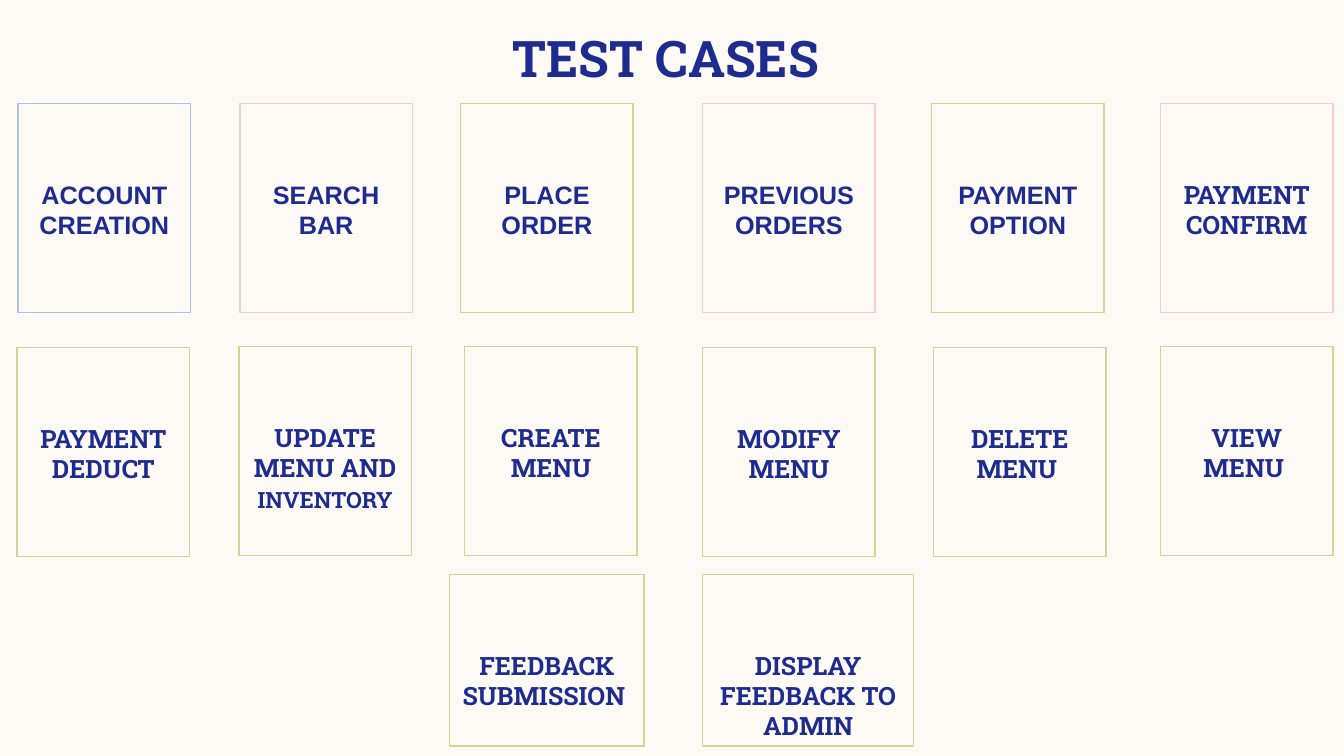
import pptx
import pptx.util
import pptx.dml.color
import pptx.enum.shapes
import pptx.enum.text

PX = 9144
SLIDE_WIDTH, SLIDE_HEIGHT = 1333, 750
COLORS = {
    "cream": "FDFAF6",
    "navy": "1F2C8F",
    "blue": "AAC3E8",
    "pink": "F5CDCE",
    "olive": "D2D592",
}
SLAB, SANS = "Roboto Slab", "Arial"

ACCOUNT_CASES = [
    (18, 0, "blue", SANS, "ACCOUNT CREATION", ""),
    (238, 0, "pink", SANS, "SEARCH BAR", ""),
    (457, 0, "olive", SANS, "PLACE ORDER", ""),
    (697, 0, "pink", SANS, "PREVIOUS ORDERS", ""),
    (924, 0, "olive", SANS, "PAYMENT OPTION", ""),
    (1151, 0, "pink", SLAB, "PAYMENT CONFIRM", ""),
]
MENU_CASES = [
    (17, 1, "olive", SLAB, "PAYMENT DEDUCT", ""),
    (237, 0, "olive", SLAB, "UPDATE MENU AND ", "INVENTORY"),
    (461, 0, "olive", SLAB, "CREATE MENU", ""),
    (697, 1, "olive", SLAB, "MODIFY MENU", ""),
    (926, 1, "olive", SLAB, "DELETE MENU ", ""),
    (1151, 0, "olive", SLAB, "VIEW MENU ", ""),
]


def px(length):
    return pptx.util.Emu(length * PX)


def rgb(name):
    return pptx.dml.color.RGBColor.from_string(COLORS[name])


def write(paragraph, text, size=18, font=SLAB, color="navy", spacing=21.6):
    paragraph.alignment = pptx.enum.text.PP_ALIGN.CENTER
    paragraph.line_spacing = pptx.util.Pt(spacing)
    run = paragraph.add_run()
    run.text = text
    run.font.size = pptx.util.Pt(size)
    run.font.name = font
    run.font.bold = True
    run.font.color.rgb = rgb(color)


def set_frame(frame, top_inset):
    frame.word_wrap = True
    frame.vertical_anchor = pptx.enum.text.MSO_ANCHOR.TOP
    frame.margin_left = frame.margin_right = px(10)
    frame.margin_top, frame.margin_bottom = px(top_inset), px(5)


def add_heading(slide, box):
    heading = slide.shapes.add_textbox(*map(px, box))
    set_frame(heading.text_frame, 5)
    write(heading.text_frame.paragraphs[0], "TEST CASES ", size=36, spacing=45)


def add_case(slide, box, border, font, label, small_label=""):
    case = slide.shapes.add_shape(
        pptx.enum.shapes.MSO_SHAPE.RECTANGLE, *map(px, box))
    case.shadow.inherit = False
    case.fill.background()
    case.line.color.rgb = rgb(border)
    case.line.width = pptx.util.Pt(1)
    set_frame(case.text_frame, 75)
    paragraph = case.text_frame.paragraphs[0]
    write(paragraph, label, font=font)
    if small_label:
        write(paragraph, small_label, size=16, font=font)


def add_case_row(slide, box, cases):
    left, top, width, height = box
    for offset, drop, border, font, label, small_label in cases:
        add_case(slide, (left + offset, top + drop, width, height),
                 border, font, label, small_label)


def add_feedback_row(slide, box):
    left, top, width, height = box
    submission_width, display_width = 193, 209
    add_case(slide, (left, top, submission_width, height),
             "olive", SLAB, "FEEDBACK SUBMISSION ")
    add_case(slide, (left + width - display_width, top, display_width, height),
             "olive", SLAB, "DISPLAY FEEDBACK TO ADMIN")


def main():
    deck = pptx.Presentation()
    deck.slide_width, deck.slide_height = px(SLIDE_WIDTH), px(SLIDE_HEIGHT)
    slide = deck.slides.add_slide(deck.slide_layouts[6])
    slide.background.fill.solid()
    slide.background.fill.fore_color.rgb = rgb("cream")
    add_heading(slide, (461, 19, 411, 84))
    add_case_row(slide, (0, 103, 171, 207), ACCOUNT_CASES)
    add_case_row(slide, (0, 344, 171, 207), MENU_CASES)
    add_feedback_row(slide, (446, 570, 460, 170))
    deck.save("out.pptx")


if __name__ == "__main__":
    main()
